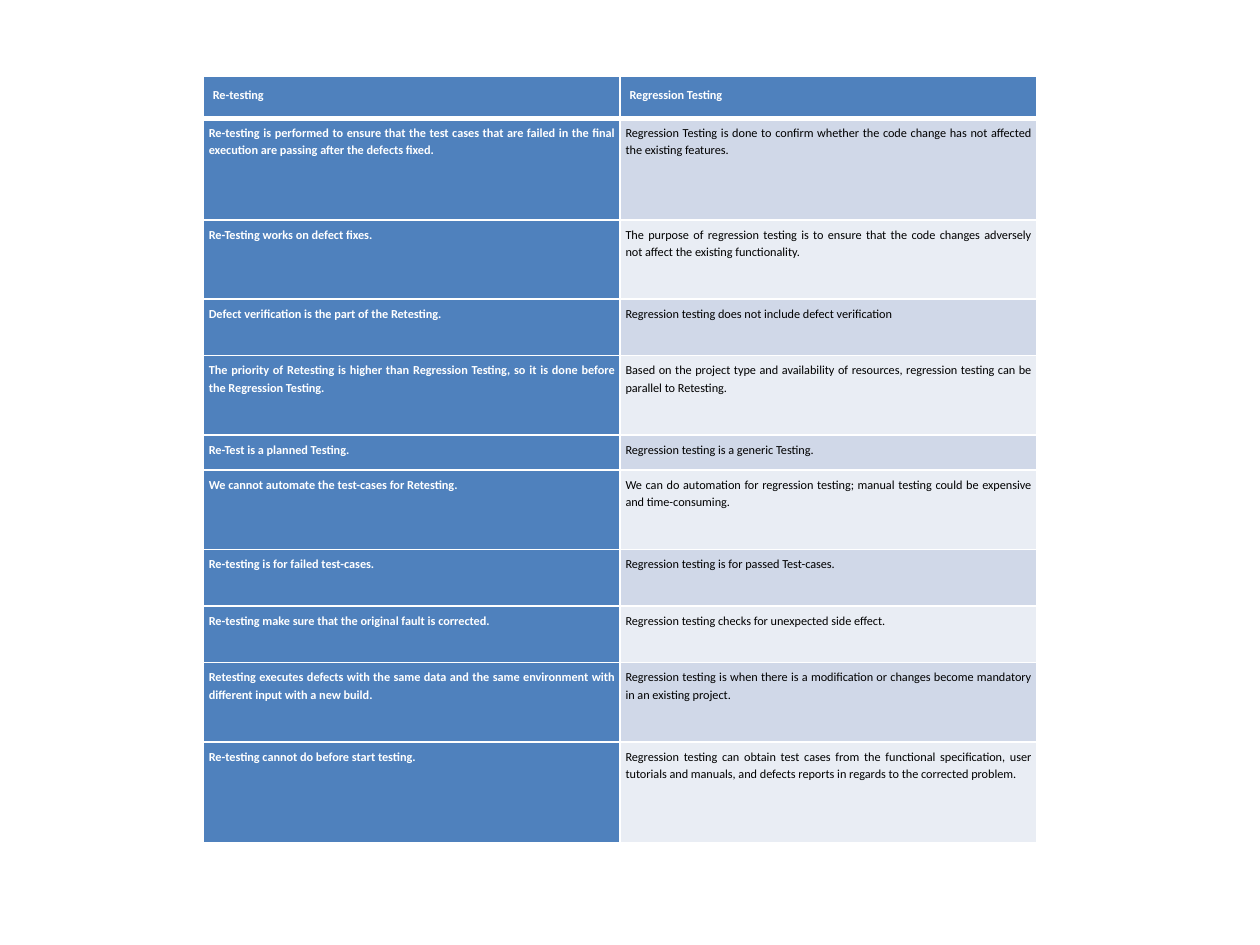
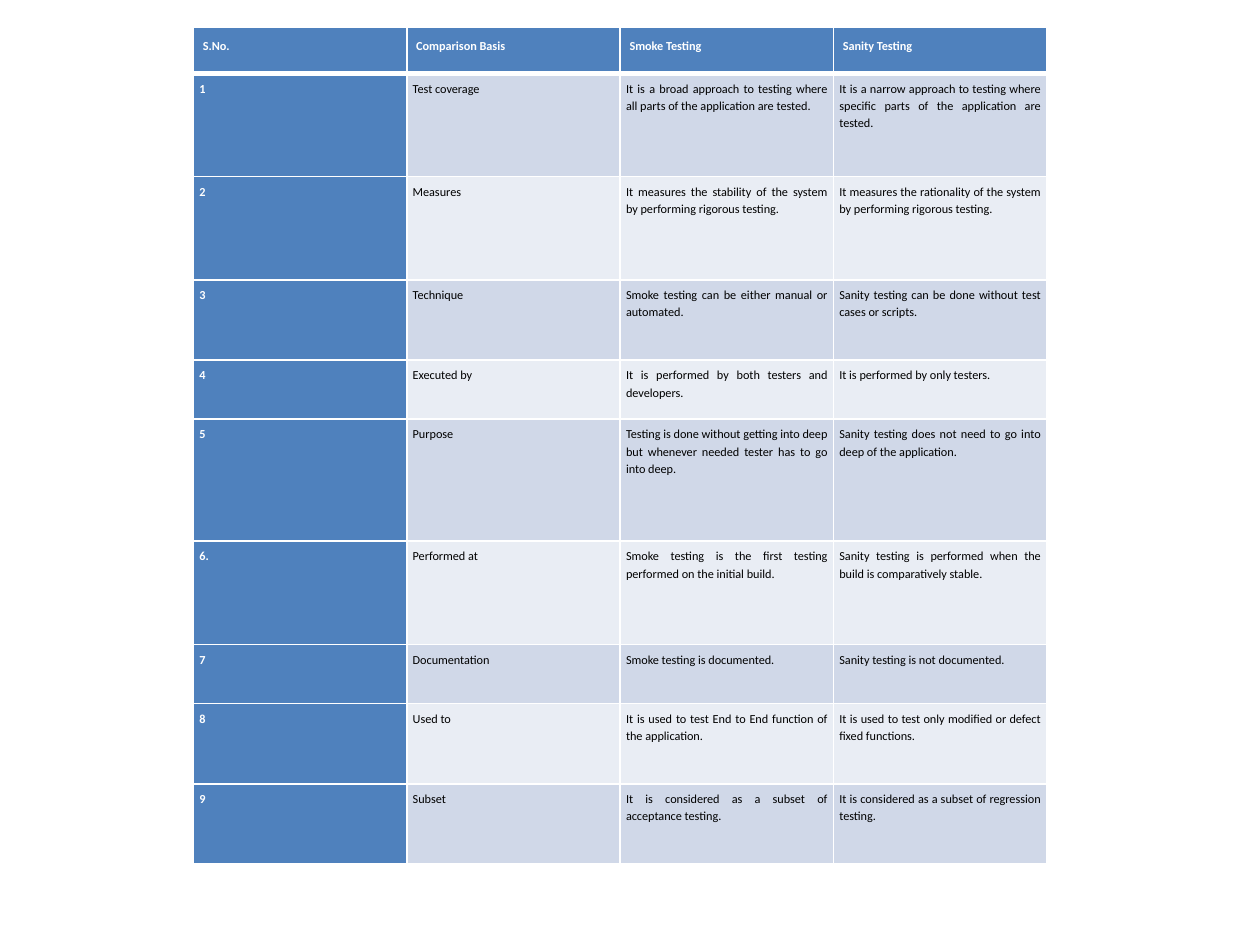
from lxml import etree
from pptx import Presentation
from pptx.dml.color import RGBColor
from pptx.enum.text import PP_ALIGN
from pptx.oxml.ns import qn
from pptx.util import Cm, Pt

LEFT = PP_ALIGN.LEFT
JUSTIFY = PP_ALIGN.JUSTIFY
BLUE = RGBColor(0x4F, 0x81, 0xBD)
BAND = RGBColor(0xD0, 0xD8, 0xE8)
PALE = RGBColor(0xE9, 0xED, 0xF4)
WHITE = RGBColor(0xFF, 0xFF, 0xFF)
BLACK = RGBColor(0, 0, 0)
FONT = "Calibri"
SIZE = 7
THIN, THICK = 1, 3
BLANK = 6

# Slide 1: heights in cm, header first
RETEST_TALL = [0.86, 2.04, 1.6, 1.14, 1.6, 0.71, 1.6, 1.14, 1.14, 1.6, 2.04]
RETEST = [
    ("Re-testing", "Regression Testing"),
    ("Re-testing is performed to ensure that the test cases that are failed in the "
     "final execution are passing after the defects fixed.",
     "Regression Testing is done to confirm whether the code change has not affected "
     "the existing features."),
    ("Re-Testing works on defect fixes.",
     "The purpose of regression testing is to ensure that the code changes adversely "
     "not affect the existing functionality."),
    ("Defect verification is the part of the Retesting.",
     "Regression testing does not include defect verification"),
    ("The priority of Retesting is higher than Regression Testing, so it is done "
     "before the Regression Testing.",
     "Based on the project type and availability of resources, regression testing "
     "can be parallel to Retesting."),
    ("Re-Test is a planned Testing.", "Regression testing is a generic Testing."),
    ("We cannot automate the test-cases for Retesting.",
     "We can do automation for regression testing; manual testing could be expensive "
     "and time-consuming."),
    ("Re-testing is for failed test-cases.",
     "Regression testing is for passed Test-cases."),
    ("Re-testing make sure that the original fault is corrected.",
     "Regression testing checks for unexpected side effect."),
    ("Retesting executes defects with the same data and the same environment with "
     "different input with a new build.",
     "Regression testing is when there is a modification or changes become mandatory "
     "in an existing project."),
    ("Re-testing cannot do before start testing.",
     "Regression testing can obtain test cases from the functional specification, "
     "user tutorials and manuals, and defects reports in regards to the corrected "
     "problem."),
]

# Slide 2: heights in cm, header first
SMOKE_TALL = [0.94, 2.08, 2.08, 1.62, 1.19, 2.46, 2.08, 1.19, 1.62, 1.62]
SMOKE = [
    ("S.No.", "Comparison Basis", "Smoke Testing", "Sanity Testing"),
    ("1", "Test coverage",
     "It is a broad approach to testing where all parts of the application are tested.",
     "It is a narrow approach to testing where specific parts of the application are "
     "tested."),
    ("2", "Measures",
     "It measures the stability of the system by performing rigorous testing.",
     "It measures the rationality of the system by performing rigorous testing."),
    ("3", "Technique",
     "Smoke testing can be either manual or automated.",
     "Sanity testing can be done without test cases or scripts."),
    ("4", "Executed by",
     "It is performed by both testers and developers.",
     "It is performed by only testers."),
    ("5", "Purpose",
     "Testing is done without getting into deep but whenever needed tester has to go "
     "into deep.",
     "Sanity testing does not need to go into deep of the application."),
    ("6.", "Performed at",
     "Smoke testing is the first testing performed on the initial build.",
     "Sanity testing is performed when the build is comparatively stable."),
    ("7", "Documentation",
     "Smoke testing is documented.", "Sanity testing is not documented."),
    ("8", "Used to",
     "It is used to test End to End function of the application.",
     "It is used to test only modified or defect fixed functions."),
    ("9", "Subset",
     "It is considered as a subset of acceptance testing.",
     "It is considered as a subset of regression testing."),
]


def write(frame, text, color=BLACK, bold=False, align=JUSTIFY, after=0):
    """Fill a text frame with one formatted paragraph."""
    para = frame.paragraphs[0]
    para.alignment = align
    para.line_spacing = 1.15
    para.space_after = Pt(after)
    run = para.add_run()
    run.text = text
    font = run.font
    font.name, font.size, font.bold = FONT, Pt(SIZE), bold
    font.color.rgb = color


class Deck:
    """Holds the table style and the current slide."""

    def __init__(self):
        self.prs = Presentation()
        self.prs.slide_width, self.prs.slide_height = Cm(25.4), Cm(19.05)
        self.slide = None

    def page(self):
        self.slide = self.prs.slides.add_slide(self.prs.slide_layouts[BLANK])

    def edges(self, cell, top, bottom):
        """Draw white borders; they must come before the fill."""
        props = cell._tc.get_or_add_tcPr()
        sides = {"lnL": THIN, "lnR": THIN, "lnT": top, "lnB": bottom}
        for spot, (side, width) in enumerate(sides.items()):
            line = etree.Element(qn("a:" + side), w=str(Pt(width)))
            fill = etree.SubElement(line, qn("a:solidFill"))
            etree.SubElement(fill, qn("a:srgbClr"), val=str(WHITE))
            props.insert(spot, line)

    def table(self, rows, tall, left, top, width, inset, after=0):
        count = len(rows[0])
        grid = self.slide.shapes.add_table(
            len(rows), count, Cm(left), Cm(top), Cm(width), Cm(sum(tall))).table
        for col in grid.columns:
            col.width = Cm(width / count)
        for r, texts in enumerate(rows):
            grid.rows[r].height = Cm(tall[r])
            head = r == 0
            for c, text in enumerate(texts):
                cell = grid.cell(r, c)
                strong = head or c == 0
                pad = Cm(0.19 if head else inset)
                cell.margin_left = cell.margin_right = pad
                cell.margin_top = cell.margin_bottom = pad
                cell.fill.solid()
                cell.fill.fore_color.rgb = BLUE if strong else BAND if r % 2 else PALE
                self.edges(cell, top=THICK if r == 1 else THIN,
                           bottom=THICK if head else THIN)
                write(cell.text_frame, text, color=WHITE if strong else BLACK,
                      bold=strong, align=LEFT if head else JUSTIFY, after=after)


def main():
    deck = Deck()

    # Re-testing against regression testing
    deck.page()
    deck.table(RETEST, RETEST_TALL, left=4.1, top=1.53, width=16.8, inset=0.11, after=10)

    # Smoke testing against sanity testing
    deck.page()
    deck.table(SMOKE, SMOKE_TALL, left=3.9, top=0.54, width=17.2, inset=0.12)

    deck.prs.save("out.pptx")


if __name__ == "__main__":
    main()
